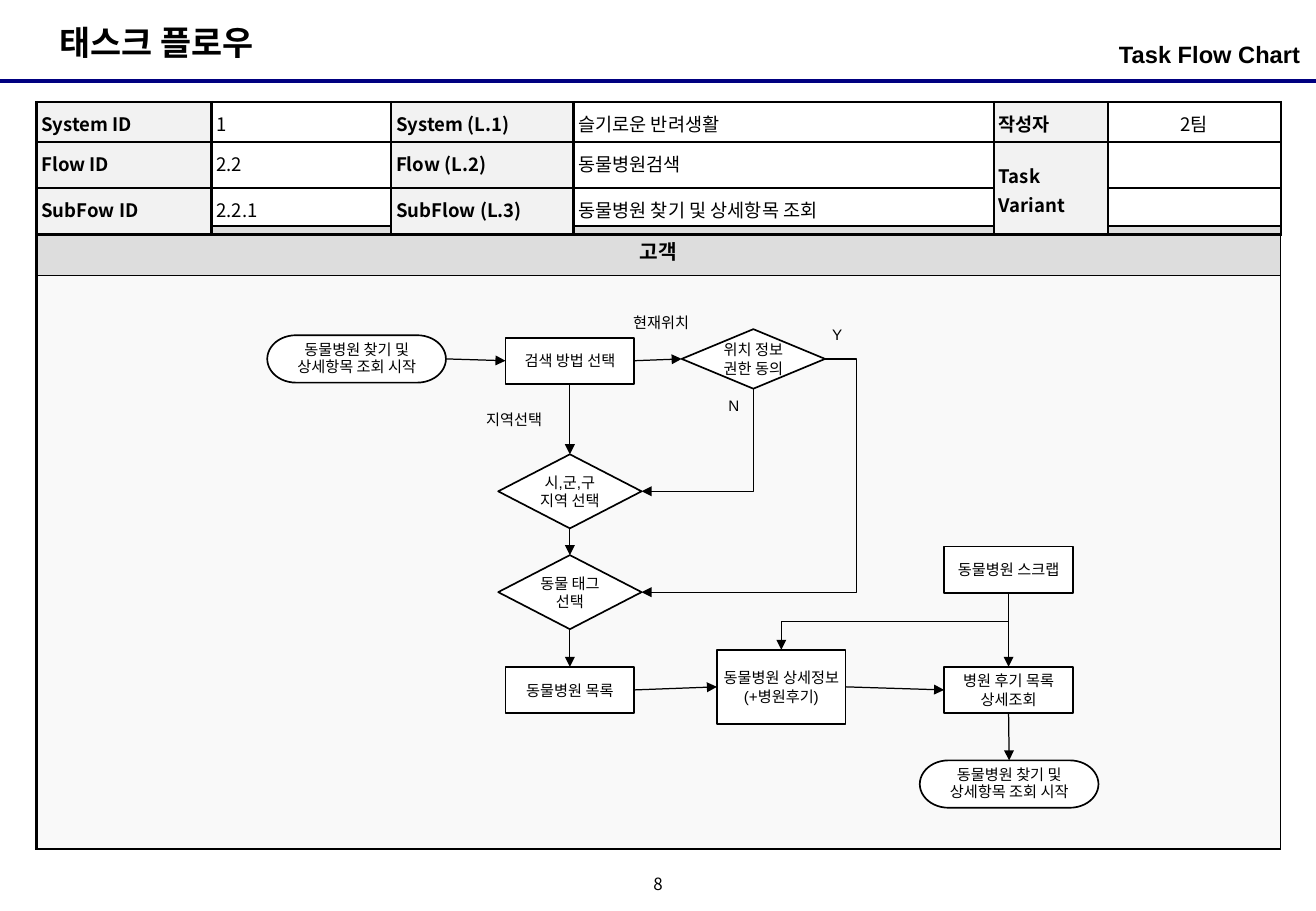
from lxml import etree
from pptx import Presentation
from pptx.dml.color import RGBColor
from pptx.enum.shapes import MSO_CONNECTOR, MSO_SHAPE
from pptx.enum.text import MSO_ANCHOR, PP_ALIGN
from pptx.oxml.ns import qn
from pptx.util import Pt

PX = 9144  # 100 px to the inch
LEFT, MID, RIGHT = PP_ALIGN.LEFT, PP_ALIGN.CENTER, PP_ALIGN.RIGHT
TOP, CENTRE = MSO_ANCHOR.TOP, MSO_ANCHOR.MIDDLE
BOX, GATE, PILL = (MSO_SHAPE.RECTANGLE, MSO_SHAPE.FLOWCHART_DECISION,
                   MSO_SHAPE.FLOWCHART_TERMINATOR)
STRAIGHT, ELBOW = MSO_CONNECTOR.STRAIGHT, MSO_CONNECTOR.ELBOW
N, W, S, E = range(4)  # connection sites of a shape
HEX = {"ink": "000000", "rule": "000080", "white": "FFFFFF",
       "label": "F2F2F2", "head": "DDDDDD", "body": "F9F9F9"}
SANS, KOREAN = "Arial", "Noto Sans CJK KR"

# text, box, size, bold, font, align, anchor, wrap, margins (x, y)
TEXTS = [
    ("태스크 플로우", (39, 13, 198, 44), 20, True, SANS, LEFT, TOP, True, (10, 5)),
    ("Task Flow Chart", (739, 28, 331, 39), 14, True, SANS, RIGHT, TOP, True, (0, 5)),
    ("8", (525, 717, 33, 25), 10, False, KOREAN, MID, CENTRE, True, (0, 0)),
]
LABELS = [("지역선택", 384, 333, 78), ("현재위치", 505, 253, 78),
          ("N", 581, 321, 46), ("Y", 675, 263, 22)]

INFO = [
    ["System ID", "1", "System (L.1)", "슬기로운 반려생활", "작성자", "2팀"],
    ["Flow ID", "2.2", "Flow (L.2)", "동물병원검색", "Task Variant", ""],
    ["SubFow ID", "2.2.1", "SubFlow (L.3)", "동물병원 찾기 및 상세항목 조회", "", ""],
]
INFO_COLS, INFO_ROWS = [144, 148, 150, 346, 94, 142], [33, 36, 36]
LANE_ROWS = [41, 472]

SIZES = {BOX: (106, 38), GATE: (118, 61), PILL: (147, 39)}
ENDS = "동물병원 찾기 및 상세항목 조회 시작"
# name: form, left, top, text, height where it differs
NODES = {
    "start": (PILL, 220, 276, ENDS),
    "method": (BOX, 416, 278, "검색 방법 선택"),
    "consent": (GATE, 561, 271, "위치 정보 권한 동의", 49),
    "region": (GATE, 410, 374, "시,군,구 지역 선택"),
    "tag": (GATE, 410, 457, "동물 태그 선택"),
    "list": (BOX, 416, 549, "동물병원 목록"),
    "detail": (BOX, 590, 535, "동물병원 상세정보\n(+병원후기)", 61),
    "scrap": (BOX, 777, 450, "동물병원 스크랩"),
    "review": (BOX, 777, 549, "병원 후기 목록 상세조회"),
    "end": (PILL, 757, 626, ENDS),
}
ARROWS = [
    ("start", E, "method", W), ("method", E, "consent", W),
    ("method", S, "region", N), ("region", S, "tag", N),
    ("tag", S, "list", N), ("list", E, "detail", W),
    ("detail", E, "review", W), ("scrap", S, "review", N),
    ("review", S, "end", N),
]
# from, site, to, site, preset, bend, turned a quarter
BENDS = [
    ("consent", E, "tag", E, "bentConnector3", -17200, False),
    ("consent", S, "region", E, "bentConnector2", None, True),
    ("scrap", S, "detail", N, "bentConnector3", 50000, True),
]


def tint(name):
    return RGBColor.from_string(HEX[name])


def px(*nums):
    return [n * PX for n in nums]


def write(frame, text, size, bold=False, font=SANS, align=MID, space=None):
    frame.text = text
    for para in frame.paragraphs:
        para.alignment = align
        if space:
            para.line_spacing = space
        for run in para.runs:
            look = {"size": Pt(size), "bold": bold, "name": font}
            for key, val in look.items():
                setattr(run.font, key, val)
            run.font.color.rgb = tint("ink")
            etree.SubElement(run.font._element, qn("a:ea"), typeface=KOREAN)


def inset(item, x, y):
    for side, val in zip(("left", "right", "top", "bottom"), px(x, x, y, y)):
        setattr(item, "margin_" + side, val)


def add_text(text, box, size, bold, font, align, anchor, wrap, pad):
    frame = shapes.add_textbox(*px(*box)).text_frame
    frame.word_wrap, frame.vertical_anchor = wrap, anchor
    inset(frame, *pad)
    write(frame, text, size, bold, font, align, 0.8 if font == KOREAN else None)


def add_grid(x, y, cols, rows):
    grid = shapes.add_table(len(rows), len(cols),
                            *px(x, y, sum(cols), sum(rows))).table
    grid.first_row = grid.horz_banding = False
    for col, width in zip(grid.columns, cols):
        col.width = width * PX
    for row, height in zip(grid.rows, rows):
        row.height = height * PX
    return grid


def dress(cell, fill, widths):
    """Fill a cell and border it; widths run left, right, top, bottom."""
    props = cell._tc.get_or_add_tcPr()
    for i, (side, width) in enumerate(zip("LRTB", widths)):
        line = etree.Element(qn("a:ln" + side), w=str(Pt(width)))
        paint = etree.SubElement(line, qn("a:solidFill"))
        etree.SubElement(paint, qn("a:srgbClr"), val=HEX["ink"])
        props.insert(i, line)
    if fill:
        cell.fill.solid()
        cell.fill.fore_color.rgb = tint(fill)
    else:
        cell.fill.background()


def add_node(form, x, y, text, high=None):
    wide, usual = SIZES[form]
    node = shapes.add_shape(form, *px(x, y, wide, high or usual))
    node.shadow.inherit = False
    node.fill.solid()
    node.fill.fore_color.rgb = tint("white")
    node.line.color.rgb, node.line.width = tint("ink"), Pt(1)
    frame = node.text_frame
    frame.word_wrap, frame.vertical_anchor = True, CENTRE
    inset(frame, 2, 0)
    write(frame, text, 9, space=0.9 if form == PILL else None)
    return node


def style(line, color, width):
    line.line.color.rgb, line.line.width = tint(color), Pt(width)
    etree.SubElement(line._element.spPr, qn("a:effectLst"))


def link(kind, start, out, stop, into):
    line = shapes.add_connector(kind, 0, 0, 0, 0)
    line.begin_connect(nodes[start], out)
    line.end_connect(nodes[stop], into)
    style(line, "ink", 0.75)
    etree.SubElement(line.line._get_or_add_ln(), qn("a:tailEnd"), type="triangle")
    return line


def turn(line):
    """Turn the bend so that it leaves downwards and then goes left."""
    x, y, wide, high = line.left, line.top, line.width, line.height
    line.left, line.top = x + (wide - high) // 2, y + (high - wide) // 2
    line.width, line.height = high, wide
    frame = line._element.spPr.find(qn("a:xfrm"))
    frame.attrib.clear()
    frame.set("rot", "5400000")


deck = Presentation()
deck.slide_width, deck.slide_height = px(1083, 750)
shapes = deck.slides.add_slide(deck.slide_layouts[6]).shapes

style(shapes.add_connector(STRAIGHT, *px(0, 67, 1083, 67)), "rule", 2.25)
for item in TEXTS:
    add_text(*item)

lane = add_grid(30, 186, [sum(INFO_COLS)], LANE_ROWS)
dress(lane.cell(0, 0), "head", (1.5, 0.75, 1.5, 0.75))
dress(lane.cell(1, 0), "body", (1.5, 0.75, 0.75, 1.5))
lane.cell(0, 0).vertical_anchor = CENTRE
write(lane.cell(0, 0).text_frame, "고객", 12, True)

info = add_grid(30, 84, INFO_COLS, INFO_ROWS)
info.cell(1, 4).merge(info.cell(2, 4))
for r, row in enumerate(INFO):
    for c, text in enumerate(row):
        cell, named = info.cell(r, c), c % 2 == 0
        dress(cell, "label" if named else None, [1.5] * 4)
        inset(cell, 4, 4)
        cell.vertical_anchor = CENTRE if c > 3 else TOP
        if text:
            write(cell.text_frame, text, 11, named, KOREAN,
                  MID if c == 5 else LEFT, 1.1)

nodes = {name: add_node(*node) for name, node in NODES.items()}
for arrow in ARROWS:
    link(STRAIGHT, *arrow)
for *ends, preset, bend, turned in BENDS:
    line = link(ELBOW, *ends)
    if turned:
        turn(line)
    shape = line._element.spPr.find(qn("a:prstGeom"))
    shape.set("prst", preset)
    if bend is not None:
        etree.SubElement(shape.find(qn("a:avLst")), qn("a:gd"),
                         name="adj1", fmla=f"val {bend}")
for text, x, y, wide in LABELS:
    add_text(text, (x, y, wide, 25), 9, False, SANS, MID, CENTRE, False, (10, 5))

deck.save("out.pptx")
